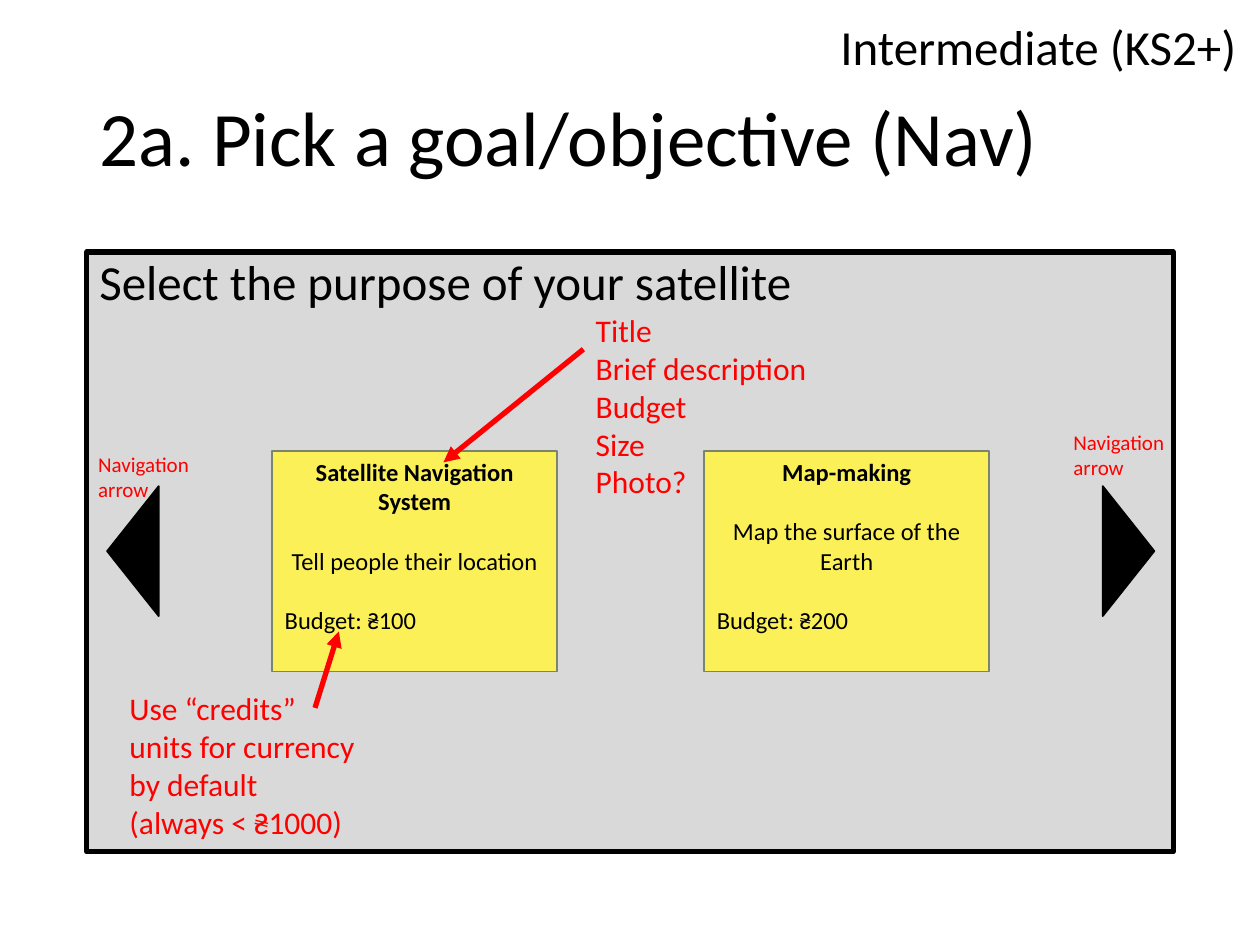
from pptx import Presentation, util as u
from pptx.dml.color import RGBColor
from pptx.enum import shapes as sh, text as tx
from pptx.oxml.ns import qn
from lxml import etree

THEME = {
    "font": "Calibri",
    "ink": "000000", "note": "FF0000", "panel": "D9D9D9",
    "card": "FCF059", "edge": "7A866C",
    "title": 44, "head": 28, "call": 18, "body": 14, "small": 12,
    "thick": 3, "thin": 1, "gap": 17,
}

TAG = "Intermediate (KS2+)"
TITLE = "2a. Pick a goal/objective (Nav)"
PROMPT = "Select the purpose of your satellite"
CARDS = [
    ("Satellite Navigation System", "Tell people their location", "Budget: ₴100"),
    ("Map-making", "Map the surface of the Earth", "Budget: ₴200"),
]
NOTES = [
    (["Title", "Brief description", "Budget", "Size", "Photo?"], "call", (11.76, 6.15, 5.13, 4.11)),
    (["Use “credits” units for currency by default (always < ₴1000)"], "call", (2.36, 13.77, 5.13, 3.33)),
    (["Navigation arrow"], "small", (21.39, 8.53, 2.51, 1.27)),
    (["Navigation arrow"], "small", (1.73, 8.97, 2.39, 1.27)),
]
ARROWS = [(11.76, 7.04, 8.94, 9.32), (6.35, 14.27, 6.83, 12.73)]
TURNS = [(1.37, 270), (21.44, 90)]
CARD_X, CARD_STEP, CARD_Y, CARD_W, CARD_H = 5.49, 8.71, 9.09, 5.74, 4.45


def cm(vals):
    return [u.Cm(v) for v in vals]


def tint(name):
    return RGBColor.from_string(THEME[name])


def place(shape, box):
    shape.left, shape.top, shape.width, shape.height = cm(box)


def paint(shape, fill, edge, width):
    shape.fill.solid()
    shape.fill.fore_color.rgb = tint(fill)
    shape.line.color.rgb = tint(edge)
    shape.line.width = u.Pt(THEME[width])


def write(shape, lines, size, color="ink", align=tx.PP_ALIGN.LEFT):
    frame = shape.text_frame
    frame.word_wrap = True
    frame.auto_size = tx.MSO_AUTO_SIZE.NONE
    frame.text = "\n".join(lines)
    for para in frame.paragraphs:
        para.alignment = align
        for run in para.runs:
            run.font.name = THEME["font"]
            run.font.size = u.Pt(THEME[size])
            run.font.color.rgb = tint(color)
    return frame


def add_form(slide, kind, box, fill, edge):
    form = slide.shapes.add_shape(kind, *cm(box))
    form.shadow.inherit = False
    paint(form, fill, edge, "thin")
    return form


def add_card(slide, lines, left):
    card = add_form(slide, sh.MSO_SHAPE.RECTANGLE, (left, CARD_Y, CARD_W, CARD_H), "card", "edge")
    frame = write(card, lines, "body", align=tx.PP_ALIGN.CENTER)
    frame.vertical_anchor = tx.MSO_ANCHOR.TOP
    head, *rest = frame.paragraphs
    head.runs[0].font.bold = True
    for para in rest:
        para.space_before = u.Pt(THEME["gap"])
    rest[-1].alignment = tx.PP_ALIGN.LEFT


def add_arrow(slide, ends):
    line = slide.shapes.add_connector(sh.MSO_CONNECTOR.STRAIGHT, *cm(ends))
    line.line.color.rgb = tint("note")
    line.line.width = u.Pt(THEME["thick"])
    etree.SubElement(line.line._get_or_add_ln(), qn("a:tailEnd"), type="triangle")
    etree.SubElement(line._element.spPr, qn("a:effectLst"))


def main():
    deck = Presentation()
    deck.slide_width, deck.slide_height = cm((25.4, 19.05))
    slide = deck.slides.add_slide(deck.slide_layouts[1])

    title, body = slide.placeholders
    place(title, (1.75, 1.02, 21.9, 3.68))
    frame = write(title, [TITLE], "title")
    frame.vertical_anchor = tx.MSO_ANCHOR.MIDDLE
    frame.paragraphs[0].line_spacing = 0.9

    place(body, (1.75, 5.08, 21.9, 12.09))
    paint(body, "panel", "ink", "thick")
    para = write(body, [PROMPT], "head").paragraphs[0]
    props = para._p.get_or_add_pPr()
    props.set("marL", "0")
    props.set("indent", "0")
    etree.SubElement(props, qn("a:buNone"))
    para.line_spacing = 0.9
    para.space_before = u.Pt(0)

    tag = slide.shapes.add_textbox(*cm((16.48, 0.2, 8.69, 1.45)))
    write(tag, [TAG], "head", align=tx.PP_ALIGN.RIGHT)

    for i, lines in enumerate(CARDS):
        add_card(slide, lines, CARD_X + i * CARD_STEP)
    for left, turn in TURNS:
        box = (left, 10.59, 2.62, 1.04)
        add_form(slide, sh.MSO_SHAPE.ISOSCELES_TRIANGLE, box, "ink", "ink").rotation = turn
    for ends in ARROWS:
        add_arrow(slide, ends)
    for lines, size, box in NOTES:
        write(slide.shapes.add_textbox(*cm(box)), lines, size, "note")

    deck.save("out.pptx")


if __name__ == "__main__":
    main()
